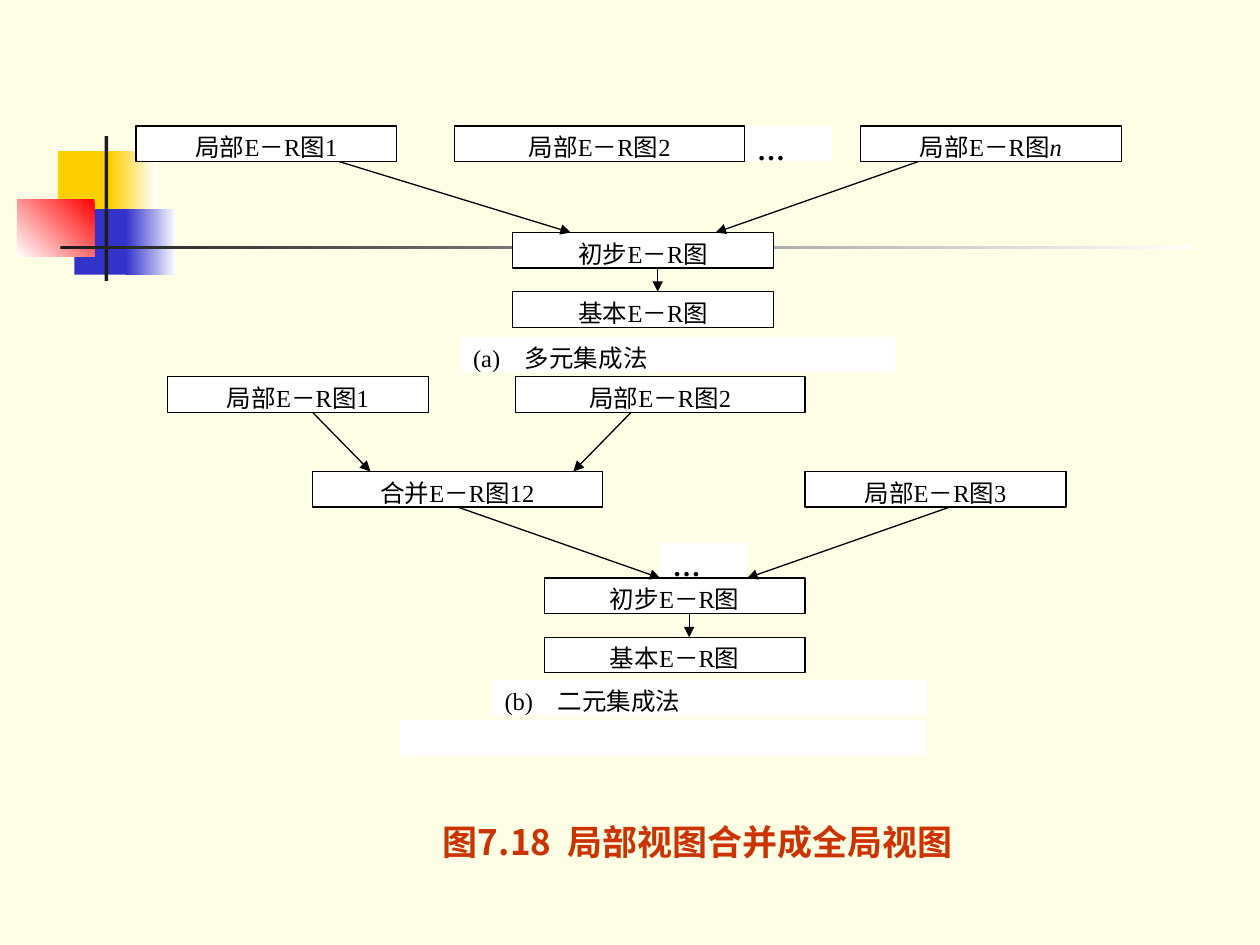
from pptx import Presentation
from pptx.dml.color import RGBColor
from pptx.enum.shapes import MSO_CONNECTOR as Connector, MSO_SHAPE as Shape
from pptx.enum.text import MSO_ANCHOR as Anchor, PP_ALIGN as Align
from pptx.oxml.ns import qn
from pptx.util import Inches, Pt
from lxml.etree import SubElement

CREAM = RGBColor(0xFE, 0xFE, 0xE6)
WHITE = RGBColor(0xFF, 0xFF, 0xFF)
BLACK = RGBColor(0, 0, 0)
YELLOW = RGBColor(0xFF, 0xCF, 0x01)
BLUE = RGBColor(0x33, 0x33, 0xCC)
RED = RGBColor(0xFF, 0, 0)
CHARCOAL = RGBColor(0x1C, 0x1C, 0x1C)
RUST = RGBColor(0xCC, 0x33, 0)

COLUMN, ROW = 0.23, 0.094
BOX_ROWS, NARROW, WIDE, CAPTION = 3, 9, 10, 15
LATIN, CJK = "Times New Roman", "Noto Sans CJK KR"


class Diagram:
    """Draws on one slide; grid positions count from the current origin."""

    def __init__(self, slide):
        self.slide = slide
        self.origin = (0, 0)
        slide.background.fill.solid()
        slide.background.fill.fore_color.rgb = CREAM

    def point(self, column, row):
        left, top = self.origin
        return Inches(left + column * COLUMN), Inches(top + row * ROW)

    def rectangle(self, left, top, width, height, color, fade_angle=None):
        """Plain rectangle; with fade_angle it fades from color to white."""
        shape = self.slide.shapes.add_shape(Shape.RECTANGLE, left, top, width, height)
        shape.shadow.inherit = False
        shape.line.fill.background()
        if fade_angle is None:
            shape.fill.solid()
            shape.fill.fore_color.rgb = color
        else:
            shape.fill.gradient()
            shape.fill.gradient_angle = fade_angle
            for stop, stop_color in zip(shape.fill.gradient_stops, (color, WHITE)):
                stop.color.rgb = stop_color
        return shape

    def ornament(self, left, top, width, height, color, fade_angle=None):
        self.rectangle(*map(Inches, (left, top, width, height)), color, fade_angle)

    def style(self, span, size, color=BLACK, latin=LATIN, bold=False):
        span.font.size, span.font.bold, span.font.name = Pt(size), bold, latin
        span.font.color.rgb = color
        SubElement(span.font._element, qn("a:ea"), typeface=CJK)

    def label(self, column, row, columns, text="", rows=BOX_ROWS,
              size=14, bold=False, align=Align.LEFT):
        """Borderless white box."""
        width, height = Inches(columns * COLUMN), Inches(rows * ROW)
        box = self.rectangle(*self.point(column, row), width, height, WHITE)
        frame = box.text_frame
        frame.word_wrap, frame.vertical_anchor = True, Anchor.TOP
        if text:
            para = frame.paragraphs[0]
            para.text, para.alignment = text, align
            self.style(para.runs[0], size, bold=bold)
        return box

    def entity(self, column, row, columns, text, variable=""):
        """Outlined box with centred text, ending in an italic variable if given."""
        box = self.label(column, row, columns, text, align=Align.CENTER)
        box.line.color.rgb, box.line.width = BLACK, Pt(0.75)
        if variable:
            span = box.text_frame.paragraphs[0].add_run()
            span.text = variable
            self.style(span, 14)
            span.font.italic = True
        return box

    def arrow(self, start, end, source=None):
        """Arrow between grid points; source is a box left at its bottom middle."""
        line = self.slide.shapes.add_connector(
            Connector.STRAIGHT, *self.point(*start), *self.point(*end))
        if source is not None:
            line.begin_connect(source, 2)
        line.line.color.rgb, line.line.width = BLACK, Pt(0.75)
        SubElement(line.line._get_or_add_ln(), qn("a:tailEnd"), type="triangle")
        SubElement(line._element.spPr, qn("a:effectLst"))

    def result(self, row, caption, caption_row):
        """Preliminary diagram, basic diagram below it, and the panel's caption."""
        self.entity(13, row, NARROW, "初步E－R图")
        self.entity(13, row + 5, NARROW, "基本E－R图")
        self.arrow((18, row + 3), (18, row + 5))
        self.label(11.2, caption_row, CAPTION, caption)

    def title(self, left, top, width, height, text):
        box = self.slide.shapes.add_textbox(*map(Inches, (left, top, width, height)))
        box.text_frame.word_wrap = True
        para = box.text_frame.paragraphs[0]
        para.text, para.alignment = text, Align.CENTER
        self.style(para.runs[0], 20, RUST, CJK, bold=True)


def main():
    deck = Presentation()
    deck.slide_width, deck.slide_height = Inches(10), Inches(7.5)
    diagram = Diagram(deck.slides.add_slide(deck.slide_layouts[6]))

    diagram.ornament(0.46, 1.2, 0.48, 0.52, YELLOW)
    diagram.ornament(0.88, 1.2, 0.36, 0.52, YELLOW, 0)
    diagram.ornament(0.59, 1.66, 0.46, 0.52, BLUE)
    diagram.ornament(1, 1.66, 0.4, 0.52, BLUE, 0)
    diagram.ornament(0.14, 1.58, 0.61, 0.46, RED, 225)
    diagram.ornament(0.83, 1.08, 0.03, 1.15, CHARCOAL)
    diagram.ornament(0.48, 1.95, 9, 0.03, CHARCOAL, 0)
    diagram.title(1.29, 6.46, 8.5, 0.6, "图7.18  局部视图合并成全局视图")

    # Panel (a): all local diagrams merged at once
    diagram.origin = (1.08, 1)
    diagram.label(21, 0, 3, "…", size=16, bold=True)
    diagram.entity(0, 0, NARROW, "局部E－R图1")
    diagram.entity(11, 0, WIDE, "局部E－R图2")
    diagram.entity(25, 0, NARROW, "局部E－R图", variable="n")
    diagram.result(9, "(a)\u3000多元集成法".replace("\u3000", "　"), 17.8)
    diagram.arrow((7, 3), (15, 9))
    diagram.arrow((27, 3), (20, 9))

    # Panel (b): local diagrams merged two at a time
    diagram.origin = (1.33, 2.99)
    diagram.label(17, 14, 3, "…", rows=4, size=16, bold=True)
    diagram.entity(0, 0, NARROW, "局部E－R图1")
    diagram.entity(12, 0, WIDE, "局部E－R图2")
    merged = diagram.entity(5, 8, WIDE, "合并E－R图12")
    diagram.entity(22, 8, NARROW, "局部E－R图3")
    diagram.result(17, "(b)　二元集成法", 25.6)
    diagram.label(8, 29, 18.2)
    diagram.arrow((5, 3), (7, 8))
    diagram.arrow((16, 3), (14, 8))
    diagram.arrow((10, 11), (17, 17), source=merged)
    diagram.arrow((27, 11), (20, 17))

    deck.save("out.pptx")


if __name__ == "__main__":
    main()
